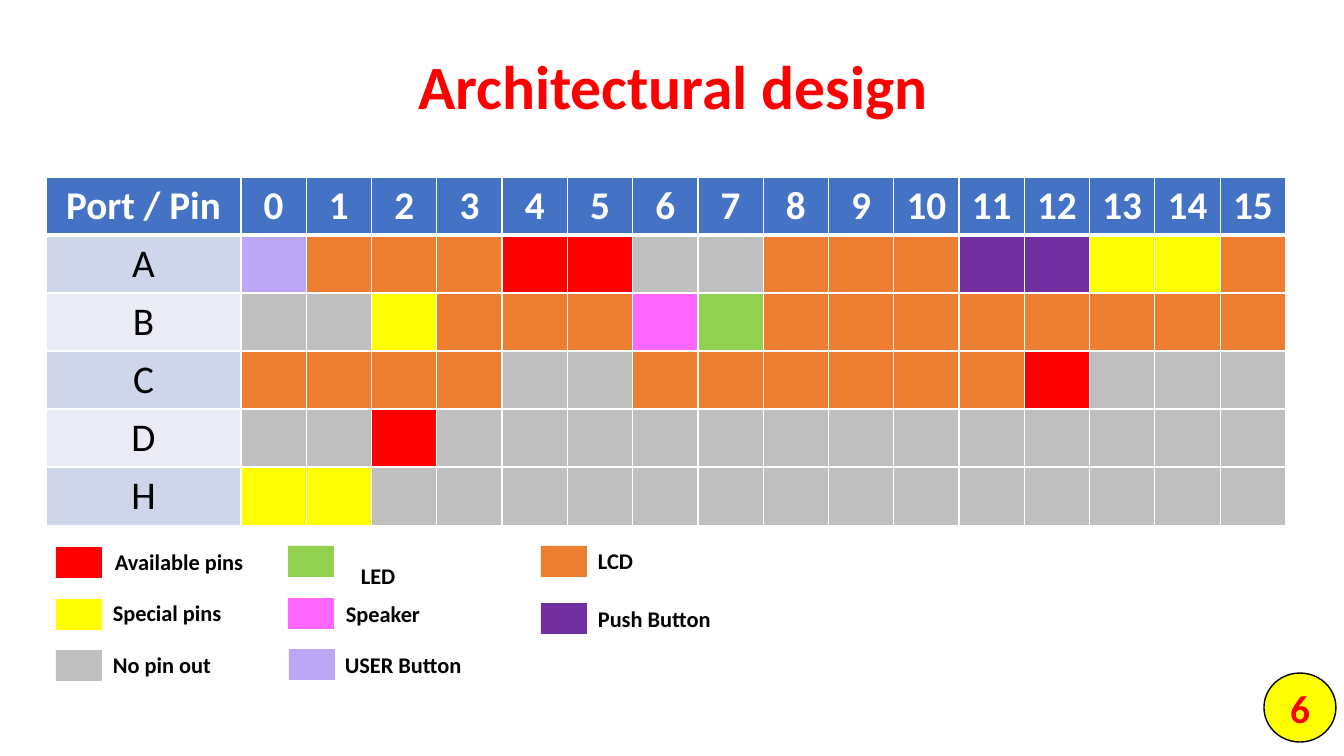
from lxml.etree import SubElement
from pptx import Presentation
from pptx.dml.color import RGBColor
from pptx.enum.shapes import MSO_SHAPE as Shape
from pptx.enum.text import MSO_ANCHOR as Anchor, MSO_AUTO_SIZE as AutoSize, PP_ALIGN as Align
from pptx.oxml import parse_xml
from pptx.oxml.ns import nsdecls, qn
from pptx.util import Emu, Pt

PX = 914400 / 100.8
RED, WHITE, BLACK, YELLOW = "FF0000", "FFFFFF", "000000", "FFFF00"
HEADER, BANDS = "4472C4", ("CFD5EA", "E9EBF5")
USES = {
    "a": RED, "s": YELLOW, "n": "BFBFBF", "e": "92D050",
    "k": "FF66FF", "u": "BCA7F7", "L": "ED7D31", "p": "7030A0",
}
PORTS = {
    "A": "uLLLaannLLLppssL",
    "B": "nnsLLLkeLLLLLLLL",
    "C": "LLLLnnLLLLLLannn",
    "D": "nnannnnnnnnnnnnn",
    "H": "ssnnnnnnnnnnnnnn",
}
LEGEND = [
    ("a", "Available pins", (56, 547), (105, 543)),
    ("s", "Special pins", (56, 599), (103, 594)),
    ("n", "No pin out", (56, 650), (103, 646)),
    ("e", "LED", (288, 546), (351, 557)),
    ("k", "Speaker", (288, 598), (336, 595)),
    ("u", "USER Button", (289, 649), (335, 646)),
    ("L", "LCD", (541, 546), (588, 542)),
    ("p", "Push Button", (541, 603), (588, 600)),
]


def px(length):
    """Turn pixels into EMU."""
    return Emu(round(length * PX))


def color(value):
    """Turn a hex string into a colour."""
    return RGBColor.from_string(value)


def paint(target, value):
    """Give a shape, cell or line a solid fill."""
    target.fill.solid()
    target.fill.fore_color.rgb = color(value)


def write(frame, text, size=16, ink=BLACK, bold=True, align=Align.LEFT, spacing=None):
    """Write one formatted paragraph and return its run."""
    frame.word_wrap = True
    paragraph = frame.paragraphs[0]
    paragraph.alignment = align
    if spacing:
        paragraph.line_spacing = spacing
    run = paragraph.add_run()
    run.text = text
    run.font.name, run.font.size, run.font.bold = "Calibri", Pt(size), bold
    run.font.color.rgb = color(ink)
    return run


def add_label(slide, text, left, top, width, height, grow=False, **style):
    """Add a vertically centred text box."""
    frame = slide.shapes.add_textbox(px(left), px(top), px(width), px(height)).text_frame
    frame.vertical_anchor = Anchor.MIDDLE
    frame.auto_size = AutoSize.SHAPE_TO_FIT_TEXT if grow else AutoSize.NONE
    write(frame, text, **style)


def add_block(slide, kind, fill, left, top, width, height, line=None):
    """Add a filled preset shape, outlined only if a line colour is given."""
    block = slide.shapes.add_shape(kind, px(left), px(top), px(width), px(height))
    block.shadow.inherit = False
    paint(block, fill)
    if line:
        paint(block.line, line)
        block.line.width = Pt(1)
    else:
        block.line.fill.background()
    return block


def add_borders(cell, top=1, bottom=1):
    """Draw white borders around a cell, with widths in points."""
    properties = cell._tc.get_or_add_tcPr()
    widths = {"lnL": 1, "lnR": 1, "lnT": top, "lnB": bottom}
    for index, (side, width) in enumerate(widths.items()):
        border = SubElement(properties, qn(f"a:{side}"), w=str(Pt(width)))
        fill = SubElement(border, qn("a:solidFill"))
        SubElement(fill, qn("a:srgbClr"), val=WHITE)
        properties.insert(index, border)


def add_pin_table(slide):
    """Add the table of ports and pins, coloured by use."""
    pins = 16
    table = slide.shapes.add_table(
        len(PORTS) + 1, pins + 1, px(46), px(177), px(1240), px(348)
    ).table
    for index, column in enumerate(table.columns):
        column.width = px(1045 / pins) if index else px(195)
    for row in table.rows:
        row.height = px(58)

    headings = ["Port / Pin", *map(str, range(pins))]
    for index, heading in enumerate(headings):
        cell = table.cell(0, index)
        paint(cell, HEADER)
        add_borders(cell, bottom=3)
        cell.vertical_anchor = Anchor.MIDDLE
        write(cell.text_frame, heading, size=28, ink=WHITE, align=Align.CENTER)

    for row, (port, uses) in enumerate(PORTS.items(), 1):
        fills = [BANDS[(row - 1) % 2], *(USES[use] for use in uses)]
        for index, fill in enumerate(fills):
            cell = table.cell(row, index)
            paint(cell, fill)
            add_borders(cell, top=3 if row == 1 else 1)
        name = table.cell(row, 0)
        name.vertical_anchor = Anchor.MIDDLE
        write(name.text_frame, port, size=28, bold=False, align=Align.CENTER)


def add_page_badge(slide, number):
    """Add the round page number with outlined text."""
    badge = add_block(slide, Shape.OVAL, YELLOW, 1264, 673, 72, 69, line=BLACK)
    badge.text_frame.vertical_anchor = Anchor.MIDDLE
    digit = write(badge.text_frame, number, size=28, ink=RED, align=Align.CENTER)
    outline = parse_xml(
        f'<a:ln {nsdecls("a")} w="{Pt(0.75)}"><a:solidFill>'
        f'<a:srgbClr val="{RED}"/></a:solidFill></a:ln>'
    )
    digit.font._element.insert(0, outline)


def main():
    """Build and save the slide."""
    deck = Presentation()
    deck.slide_width, deck.slide_height = px(1344), px(756)
    slide = deck.slides.add_slide(deck.slide_layouts[6])
    add_label(slide, "Architectural design", 385, 17, 577, 146,
              size=44, ink=RED, align=Align.CENTER, spacing=0.9)
    add_pin_table(slide)
    for use, meaning, swatch, label in LEGEND:
        add_block(slide, Shape.RECTANGLE, USES[use], *swatch, 46, 31)
        add_label(slide, meaning, *label, 172, 37, grow=True)
    add_page_badge(slide, "6")
    deck.save("out.pptx")


if __name__ == "__main__":
    main()
